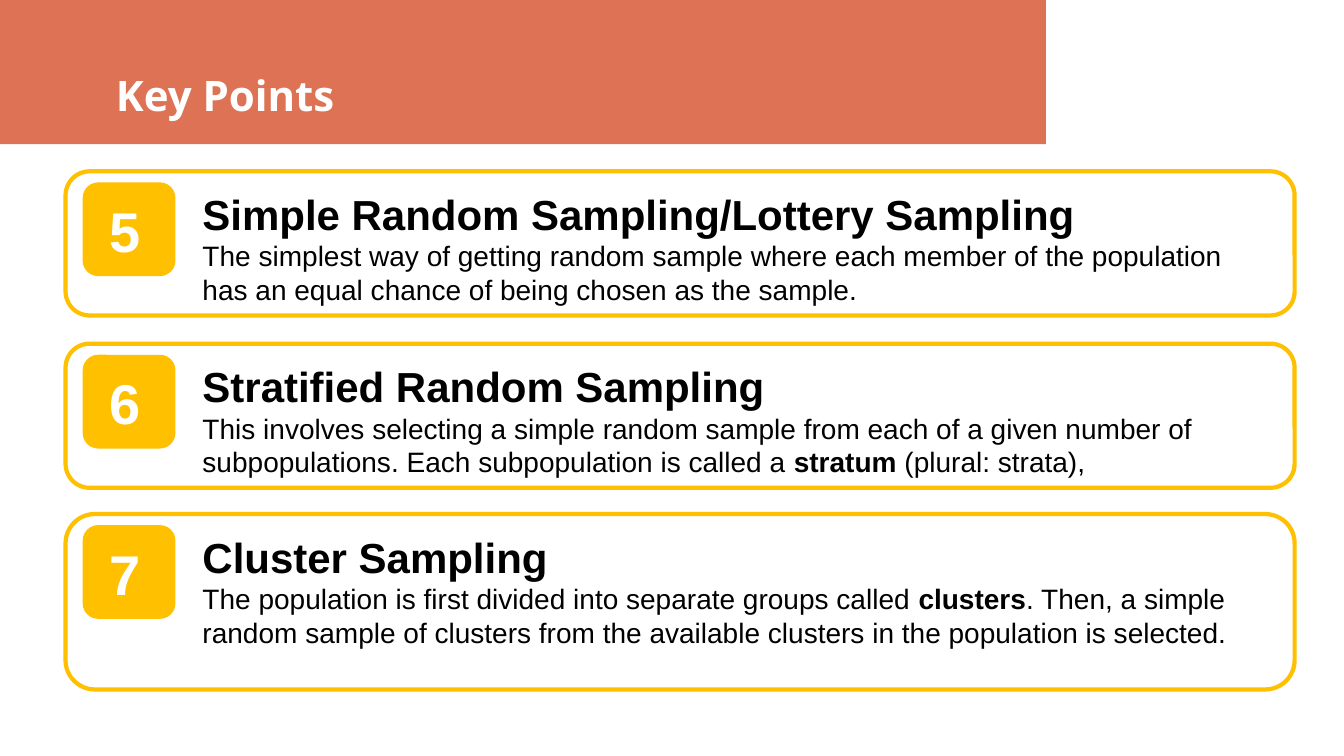
from dataclasses import dataclass

from pptx import Presentation
from pptx.dml.color import RGBColor as RGB
from pptx.enum.shapes import MSO_SHAPE as SHAPE
from pptx.enum.text import MSO_ANCHOR as ANCHOR, MSO_AUTO_SIZE as FIT, PP_ALIGN as ALIGN
from pptx.util import Inches, Pt


@dataclass(frozen=True)
class Theme:
    header: str = "DD7354"
    accent: str = "FFC000"
    light: str = "FFFFFF"
    dark: str = "000000"
    title_font: str = "Open Sans"
    body_font: str = "Arial"
    heading_size: int = 30
    body_size: int = 20
    number_size: int = 40


def add_text(p, text, *, size, color, font, bold=False):
    r = p.add_run()
    r.text = text
    r.font.size = Pt(size)
    r.font.name = font
    r.font.bold = bold
    r.font.color.rgb = RGB.from_string(color)


class SlideBuilder:
    def __init__(self, prs, theme):
        self.theme = theme
        self.s = prs.slides.add_slide(prs.slide_layouts[5])

    def shape(self, kind, box, fill=None, line=None, width=1):
        sp = self.s.shapes.add_shape(kind, *map(Inches, box))
        sp.shadow.inherit = False
        if fill:
            sp.fill.solid()
            sp.fill.fore_color.rgb = RGB.from_string(fill)
        else:
            sp.fill.background()
        if line:
            sp.line.color.rgb = RGB.from_string(line)
            sp.line.width = Pt(width)
        else:
            sp.line.fill.background()
        return sp

    def frame(self, sp):
        tf = sp.text_frame
        tf.word_wrap = True
        tf.auto_size = FIT.NONE
        tf.vertical_anchor = ANCHOR.TOP
        tf.margin_left = tf.margin_right = tf.margin_top = tf.margin_bottom = Inches(0.1)
        tf.paragraphs[0].alignment = ALIGN.LEFT
        return tf

    def text_box(self, box):
        return self.frame(self.s.shapes.add_textbox(*map(Inches, box)))

    def header(self, text):
        t = self.theme
        title = self.s.shapes.title
        band = self.shape(SHAPE.RECTANGLE, (0, 0, 13.33, 1.43), fill=t.header)
        title.element.addprevious(band.element)
        title.left, title.top, title.width, title.height = map(Inches, (1.05, 0.59, 2.93, 0.95))
        add_text(self.frame(title).paragraphs[0], text, size=t.heading_size,
                 color=t.light, font=t.title_font, bold=True)

    def corner(self):
        white = self.theme.light
        self.shape(SHAPE.RECTANGLE, (10.39, 0, 2.94, 1.46), fill=white, line=white, width=2)

    def card(self, number, top, height, heading, body):
        t = self.theme
        self.shape(SHAPE.ROUNDED_RECTANGLE, (0.65, top, 12.19, height), line=t.accent, width=3)
        tf = self.text_box((1.91, top + 0.07, 10.82, 1.22))
        add_text(tf.paragraphs[0], heading, size=t.heading_size,
                 color=t.dark, font=t.body_font, bold=True)
        p = tf.add_paragraph()
        for text, bold in body:
            add_text(p, text, size=t.body_size, color=t.dark, font=t.body_font, bold=bold)
        self.shape(SHAPE.ROUNDED_RECTANGLE, (0.82, top + 0.11, 0.92, 0.93), fill=t.accent)
        tf = self.text_box((0.99, top + 0.15, 0.66, 0.74))
        add_text(tf.paragraphs[0], str(number), size=t.number_size,
                 color=t.light, font=t.body_font, bold=True)


CARDS = [
    (1.7, 1.43, "Simple Random Sampling/Lottery Sampling", [
        ("The simplest way of getting random sample where each member of the population "
         "has an equal chance of being chosen as the sample.", False)]),
    (3.41, 1.43, "Stratified Random Sampling", [
        ("This involves selecting a simple random sample from each of a given number of "
         "subpopulations. Each subpopulation is called a ", False),
        ("stratum", True),
        (" (plural: strata),", False)]),
    (5.1, 1.74, "Cluster Sampling", [
        ("The population is first divided into separate groups called ", False),
        ("clusters", True),
        (". Then, a simple random sample of clusters from the available clusters "
         "in the population is selected.", False)]),
]


def main():
    prs = Presentation()
    prs.slide_width, prs.slide_height = Inches(13.33), Inches(7.5)
    slide = SlideBuilder(prs, Theme())
    slide.header("Key Points")
    for number, card in enumerate(CARDS, start=5):
        slide.card(number, *card)
    slide.corner()
    prs.save("out.pptx")


if __name__ == "__main__":
    main()
